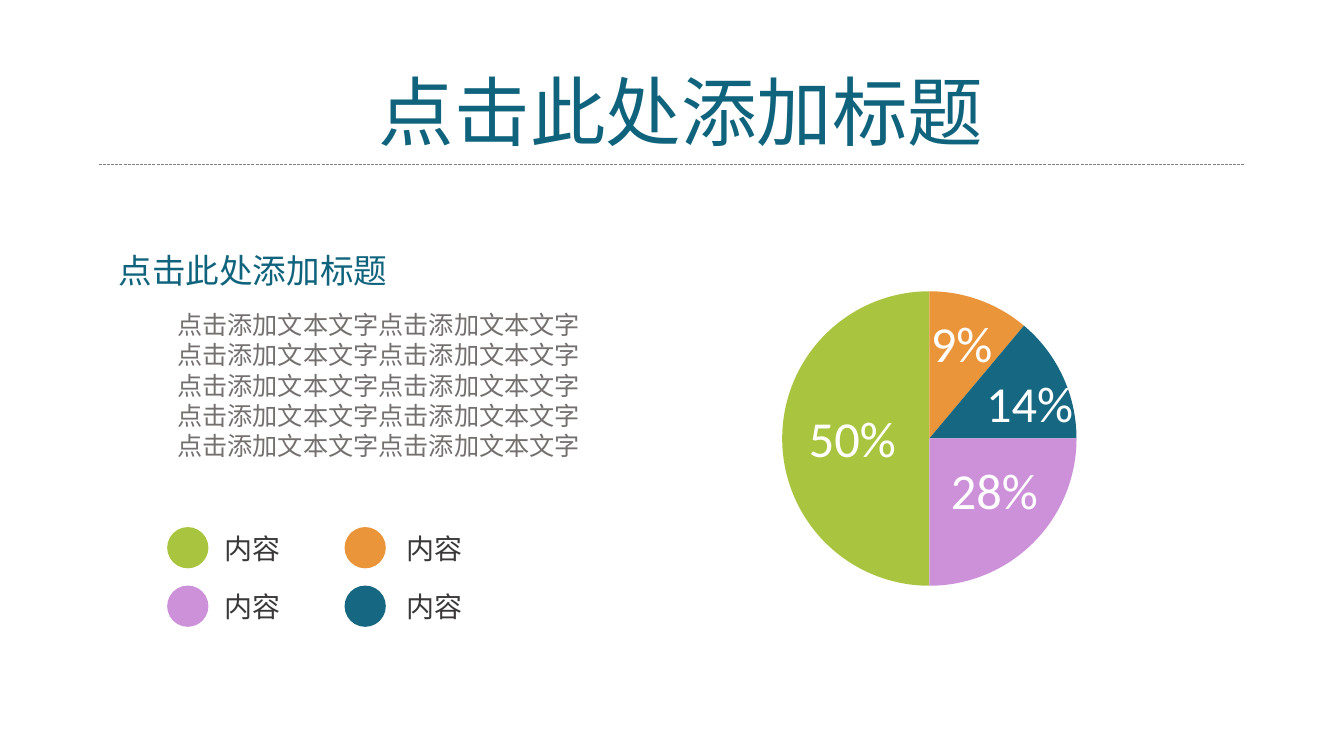
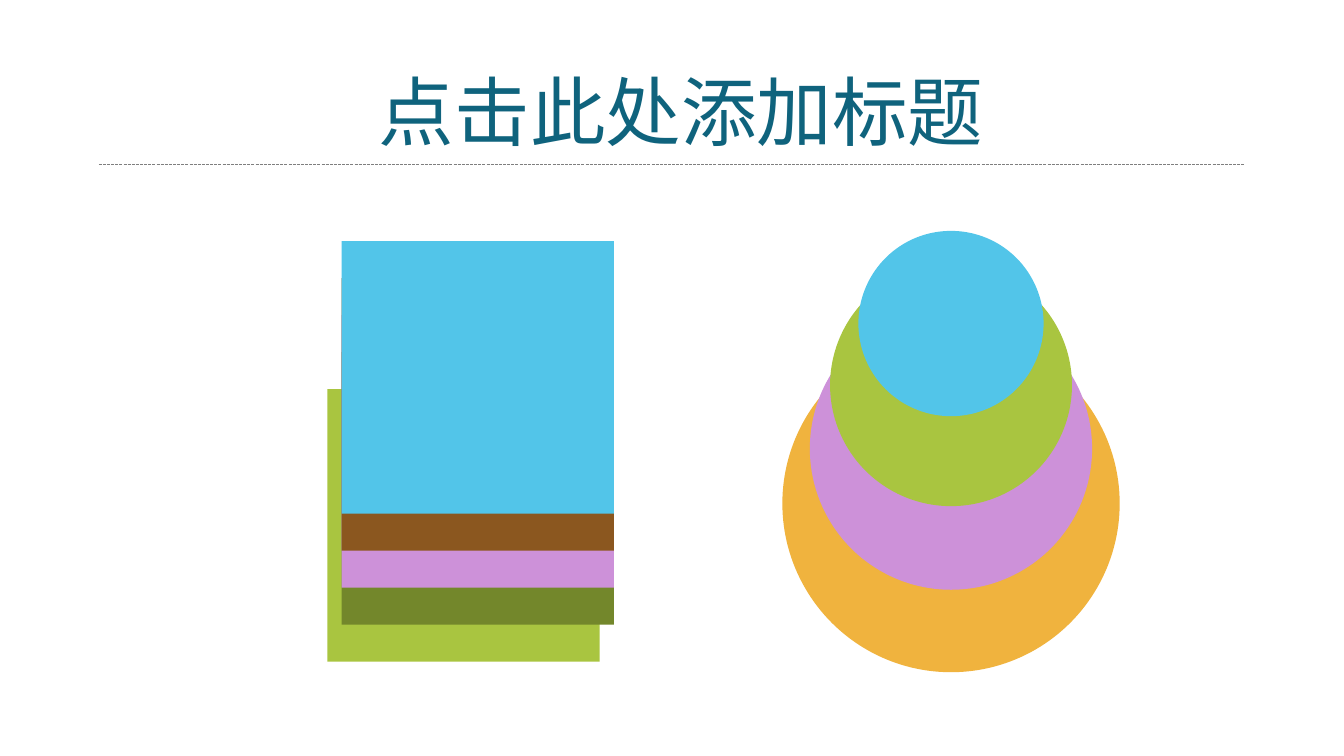
from dataclasses import dataclass

import pptx
import pptx.dml.color
import pptx.enum.dml
import pptx.enum.shapes
import pptx.enum.text
import pptx.oxml
import pptx.oxml.ns
import pptx.util

SHAPE = pptx.enum.shapes.MSO_SHAPE
ALIGN = pptx.enum.text.PP_ALIGN

# Square grid: the slide is 100 columns wide, and rows are as high as columns
SLIDE_WIDTH, SLIDE_HEIGHT = 13.34, 7.5
COLUMNS = 100

GREEN, ORANGE, TEAL, PURPLE = "A9C540", "EA953A", "166781", "CD91D9"
SKY, AMBER, OLIVE, BROWN = "52C5E9", "F0B33E", "73872B", "8B571F"
TITLE_INK, BODY_INK, LEGEND_INK, WHITE = "0F637D", "757070", "3A3838", "FFFFFF"
RULE_GREY = "7F7F7F"
HEADING_FONT, BODY_FONT, NUMBER_FONT = "Noto Sans CJK JP", "Noto Sans CJK SC", "Calibri"

HEADING = "点击此处添加标题"


@dataclass(frozen=True)
class Box:
    left: float
    top: float
    width: float
    height: float


@dataclass(frozen=True)
class TextStyle:
    size: int
    font: str
    ink: str
    align: ALIGN = ALIGN.CENTER
    wrap: bool = False


@dataclass(frozen=True)
class Slice:
    start: int
    end: int
    fill: str
    label: str
    label_box: Box


@dataclass(frozen=True)
class Disc:
    diameter: float
    top: float
    fill: str


TITLE = TextStyle(54, HEADING_FONT, TITLE_INK)
SUBTITLE = TextStyle(24, HEADING_FONT, TITLE_INK)
BODY = TextStyle(18, BODY_FONT, BODY_INK, ALIGN.LEFT, True)
LEGEND = TextStyle(20, BODY_FONT, LEGEND_INK)
PERCENT = TextStyle(36, NUMBER_FONT, WHITE, ALIGN.LEFT)

# Angles run clockwise from three o'clock
PIE = Box(58.2, 21.66, 21.9, 21.9)
SLICES = [
    Slice(90, 270, GREEN, "50%", Box(59.45, 29.91, 8.4, 5.25)),
    Slice(270, 310, ORANGE, "9%", Box(68.52, 22.86, 6.5, 5.25)),
    Slice(310, 0, TEAL, "14%", Box(72.64, 27.29, 8.4, 5.25)),
    Slice(0, 90, PURPLE, "28%", Box(70.01, 33.81, 8.4, 5.25)),
]
LEGEND_ROWS = [[GREEN, ORANGE], [PURPLE, TEAL]]

DISC_CENTRE = 70.76
DISCS = [
    Disc(25.1, 24.89, AMBER),
    Disc(21, 22.86, PURPLE),
    Disc(18, 19.64, GREEN),
    Disc(13.78, 17.17, SKY),
]
CARDS = [GREEN, OLIVE, PURPLE, BROWN, SKY]  # back to front


def cells(count: float) -> int:
    return pptx.util.Inches(count * SLIDE_WIDTH / COLUMNS)


def place(box: Box) -> list[int]:
    return [cells(n) for n in (box.left, box.top, box.width, box.height)]


def colour(code: str) -> pptx.dml.color.RGBColor:
    return pptx.dml.color.RGBColor.from_string(code)


def assign(target: object, values: dict) -> None:
    for name, value in values.items():
        setattr(target, name, value)


def add_text(slide, box: Box, wording: str, style: TextStyle) -> None:
    frame = slide.shapes.add_textbox(*place(box)).text_frame
    assign(frame, {
        "word_wrap": style.wrap,
        "auto_size": pptx.enum.text.MSO_AUTO_SIZE.SHAPE_TO_FIT_TEXT,
    })
    paragraph = frame.paragraphs[0]
    paragraph.alignment = style.align
    run = paragraph.add_run()
    run.text = wording
    assign(run.font, {"size": pptx.util.Pt(style.size), "name": style.font})
    run.font.color.rgb = colour(style.ink)
    # Chinese characters take the East Asian typeface
    properties = run.font._element
    properties.append(properties.makeelement(
        pptx.oxml.ns.qn("a:ea"), {"typeface": style.font}))


def add_figure(slide, kind: SHAPE, box: Box, fill: str):
    figure = slide.shapes.add_shape(kind, *place(box))
    figure.shadow.inherit = False
    figure.fill.solid()
    figure.fill.fore_color.rgb = colour(fill)
    figure.line.fill.background()
    return figure


def add_titled_slide(deck):
    slide = deck.slides.add_slide(deck.slide_layouts[6])
    rule = slide.shapes.add_connector(
        pptx.enum.shapes.MSO_CONNECTOR.STRAIGHT,
        cells(7.35), cells(12.27), cells(92.65), cells(12.27))
    rule.line.color.rgb = colour(RULE_GREY)
    assign(rule.line, {
        "width": pptx.util.Pt(0.75),
        "dash_style": pptx.enum.dml.MSO_LINE.SQUARE_DOT,
    })
    properties = rule._element.spPr
    properties.append(properties.makeelement(pptx.oxml.ns.qn("a:effectLst")))
    add_text(slide, Box(27.24, 4.42, 46.88, 7.5), HEADING, TITLE)
    return slide


def build_pie_slide(deck) -> None:
    slide = add_titled_slide(deck)
    add_text(slide, Box(12.44, 22.64, 32.98, 12), "点击添加文本文字" * 10, BODY)
    add_text(slide, Box(7.85, 18.22, 21.94, 3.75), HEADING, SUBTITLE)

    # Pie
    for part in SLICES:
        wedge = add_figure(slide, SHAPE.PIE, PIE, part.fill)
        for index, degrees in enumerate((part.start, part.end)):
            wedge.adjustments[index] = degrees * 0.6  # 60000ths over 100000
    for part in SLICES:
        add_text(slide, part.label_box, part.label, PERCENT)

    # Legend
    for row, fills in enumerate(LEGEND_ROWS):
        top = 39.2 + row * 4.35
        for column, fill in enumerate(fills):
            add_figure(slide, SHAPE.OVAL,
                       Box(12.44 + column * 13.2, top, 3.07, 3.07), fill)
            add_text(slide, Box(15.72 + column * 13.57, top - 0.07, 6.12, 3.3),
                     "内容", LEGEND)


def build_stack_slide(deck) -> None:
    slide = add_titled_slide(deck)

    # Discs
    for disc in DISCS:
        left = DISC_CENTRE - disc.diameter / 2
        add_figure(slide, SHAPE.OVAL,
                   Box(left, disc.top, disc.diameter, disc.diameter), disc.fill)

    # Cards: each one higher than the last, the rearmost set to the left
    side, step = 20.26, 2.75
    for level, fill in enumerate(CARDS):
        left = 25.41 if level else 24.36
        add_figure(slide, SHAPE.RECTANGLE,
                   Box(left, 28.94 - level * step, side, side), fill)


def main() -> None:
    deck = pptx.Presentation()
    assign(deck, {
        "slide_width": pptx.util.Inches(SLIDE_WIDTH),
        "slide_height": pptx.util.Inches(SLIDE_HEIGHT),
    })
    build_pie_slide(deck)
    build_stack_slide(deck)
    deck.save("out.pptx")


if __name__ == "__main__":
    main()
